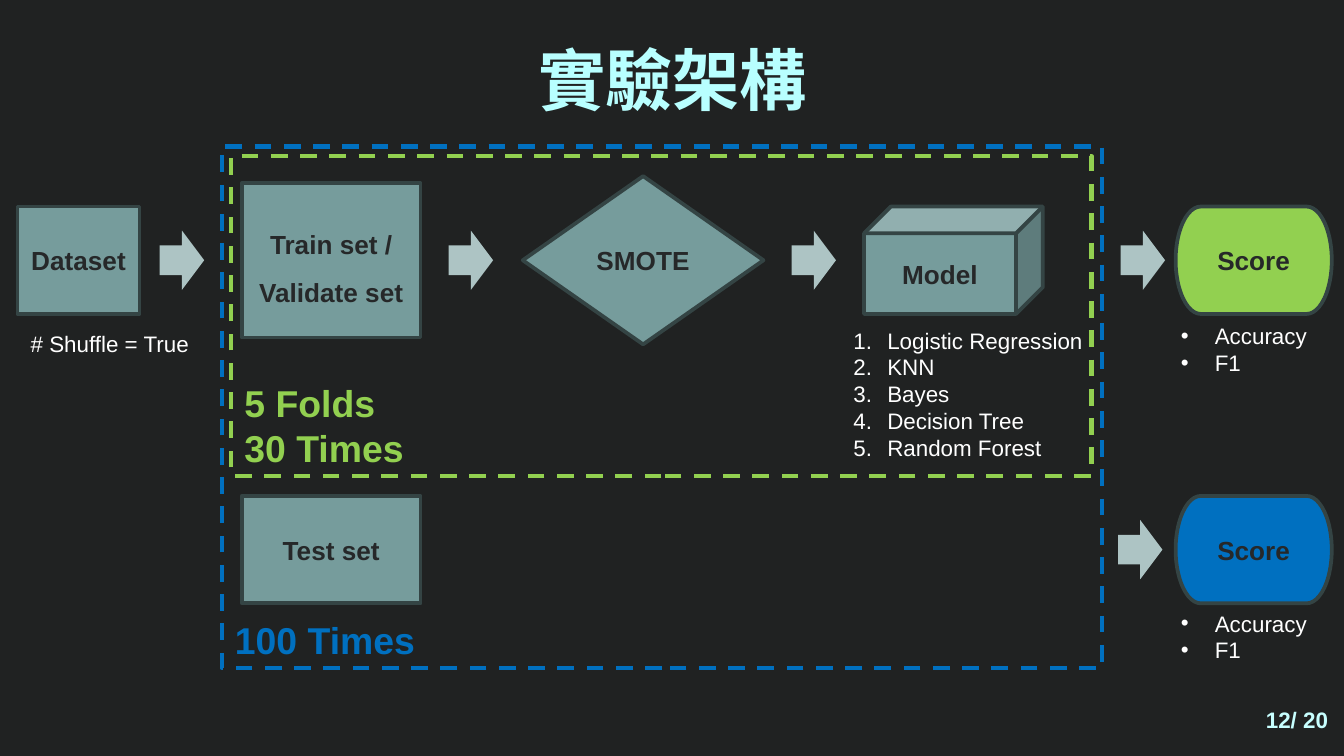
import pptx
import pptx.dml.color
import pptx.enum.dml
import pptx.enum.shapes
import pptx.enum.text
import pptx.util
from lxml import etree

Cm = pptx.util.Cm
Kind = pptx.enum.shapes.MSO_SHAPE
Align = pptx.enum.text.PP_ALIGN
Anchor = pptx.enum.text.MSO_ANCHOR
NS = "{http://schemas.openxmlformats.org/drawingml/2006/main}"


class Theme:
    back = "202222"
    title = "B8FFFF"
    page = "C7FFFF"
    step = "769C9C"
    edge = "344444"
    ink = "262829"
    arrow = "ADC4C4"
    note = "FFFFFF"
    green = "92D050"
    blue = "0070C0"
    font = "Arial"
    cjk = "Noto Sans CJK SC"
    big, mid, body, small = 36, 20, 14, 12


def rgb(code):
    return pptx.dml.color.RGBColor.from_string(code)


def add_mark(para, mark):
    """Give a paragraph a hanging bullet or number."""
    props = para._p.get_or_add_pPr()
    props.set("marL", str(Cm(0.64)))
    props.set("indent", str(-Cm(0.64)))
    if mark == "1.":
        etree.SubElement(props, NS + "buAutoNum", type="arabicPeriod")
    else:
        etree.SubElement(props, NS + "buFont", typeface=Theme.font)
        etree.SubElement(props, NS + "buChar", char=mark)


def write(frame, lines, size, color, bold=False, align=Align.LEFT,
          anchor=Anchor.TOP, font=Theme.font, mark=None, space=None):
    frame.word_wrap = True
    frame.vertical_anchor = anchor
    for i, line in enumerate(lines):
        para = frame.paragraphs[0] if i == 0 else frame.add_paragraph()
        para.text = line
        para.alignment = align
        if mark:
            add_mark(para, mark)
        if space:
            para.line_spacing = space
        face = para.font
        face.name, face.size, face.bold = font, pptx.util.Pt(size), bold
        face.color.rgb = rgb(color)
        if font == Theme.cjk:
            base = para._p.pPr.find(NS + "defRPr")
            etree.SubElement(base, NS + "ea", typeface=font)


def add_text(slide, box, lines, size, color, **style):
    frame = slide.shapes.add_textbox(*map(Cm, box)).text_frame
    write(frame, lines, size, color, **style)
    return frame


def add_step(slide, kind, left, mid, wide, high, lines,
             fill=Theme.step, space=None):
    """Draw a labelled step centred on the height mid."""
    step = slide.shapes.add_shape(
        kind, Cm(left), Cm(mid - high / 2), Cm(wide), Cm(high))
    step.shadow.inherit = False
    step.fill.solid()
    step.fill.fore_color.rgb = rgb(fill)
    step.line.color.rgb = rgb(Theme.edge)
    step.line.width = pptx.util.Pt(2)
    write(step.text_frame, lines, Theme.body, Theme.ink, bold=True,
          align=Align.CENTER, anchor=Anchor.MIDDLE, space=space)
    step.text_frame.word_wrap = False


def add_loop(slide, box, label, color):
    """Draw a dashed frame around the repeated steps."""
    loop = slide.shapes.add_shape(Kind.RECTANGLE, *map(Cm, box))
    loop.shadow.inherit = False
    loop.fill.background()
    loop.line.color.rgb = rgb(color)
    loop.line.width = pptx.util.Pt(2.25)
    loop.line.dash_style = pptx.enum.dml.MSO_LINE.DASH
    write(loop.text_frame, [label], Theme.mid, color, bold=True,
          anchor=Anchor.BOTTOM)


def add_arrow(slide, left, mid):
    wide, high = 0.84, 1.12
    arrow = slide.shapes.add_shape(
        Kind.RIGHT_ARROW, Cm(left), Cm(mid - high / 2), Cm(wide), Cm(high))
    arrow.shadow.inherit = False
    arrow.fill.solid()
    arrow.fill.fore_color.rgb = rgb(Theme.arrow)
    arrow.line.fill.background()


def main():
    deck = pptx.Presentation()
    deck.slide_width, deck.slide_height = Cm(25.4), Cm(14.29)
    slide = deck.slides.add_slide(deck.slide_layouts[6])
    slide.background.fill.solid()
    slide.background.fill.fore_color.rgb = rgb(Theme.back)

    # Title
    head = add_text(slide, (2.01, 0.48, 21.41, 1.6), ["實驗架構"], Theme.big,
                    Theme.title, bold=True, align=Align.CENTER,
                    font=Theme.cjk)
    head.margin_top = head.margin_bottom = Cm(0.25)

    # Steps in the training row and the test row
    train, test = 4.92, 10.39
    high, wide = 2.03, 3.38
    add_step(slide, Kind.RECTANGLE, 0.33, train, 2.31, high, ["Dataset"])
    add_step(slide, Kind.RECTANGLE, 4.57, train, wide, 2.92,
             ["Train set /", "Validate set"], space=1.5)
    add_step(slide, Kind.RECTANGLE, 4.57, test, wide, high, ["Test set"])
    add_step(slide, Kind.CUBE, 16.33, train, wide, high, ["Model"])
    add_step(slide, Kind.FLOWCHART_DECISION, 9.88, train, 4.55, 3.18,
             ["SMOTE"])
    for mid, fill in ((train, Theme.green), (test, Theme.blue)):
        add_step(slide, Kind.FLOWCHART_TERMINATOR, 22.22, mid, 2.95, high,
                 ["Score"], fill)

    # Loops
    add_loop(slide, (4.37, 2.95, 16.26, 6.05), "5 Folds\n30 Times",
             Theme.green)
    add_loop(slide, (4.19, 2.77, 16.64, 9.86), "100 Times", Theme.blue)

    # Arrows
    for left in (3.02, 8.48, 14.96, 21.18):
        add_arrow(slide, left, train)
    add_arrow(slide, 21.13, test)

    # Notes under the steps
    add_text(slide, (15.88, 6.05, 4.9, 2.82),
             ["Logistic Regression", "KNN", "Bayes", "Decision Tree",
              "Random Forest"], Theme.small, Theme.note, mark="1.")
    for top in (5.97, 11.4):
        add_text(slide, (22.07, top, 2.9, 1.27), ["Accuracy", "F1"],
                 Theme.small, Theme.note, mark="•")
    add_text(slide, (0.33, 6.12, 3.63, 0.76), ["# Shuffle = True"],
             Theme.small, Theme.note)

    # Page number
    add_text(slide, (19.63, 13.23, 5.72, 0.76), ["12/ 20"], Theme.small,
             Theme.page, bold=True, align=Align.RIGHT, anchor=Anchor.MIDDLE)

    deck.save("out.pptx")


if __name__ == "__main__":
    main()
